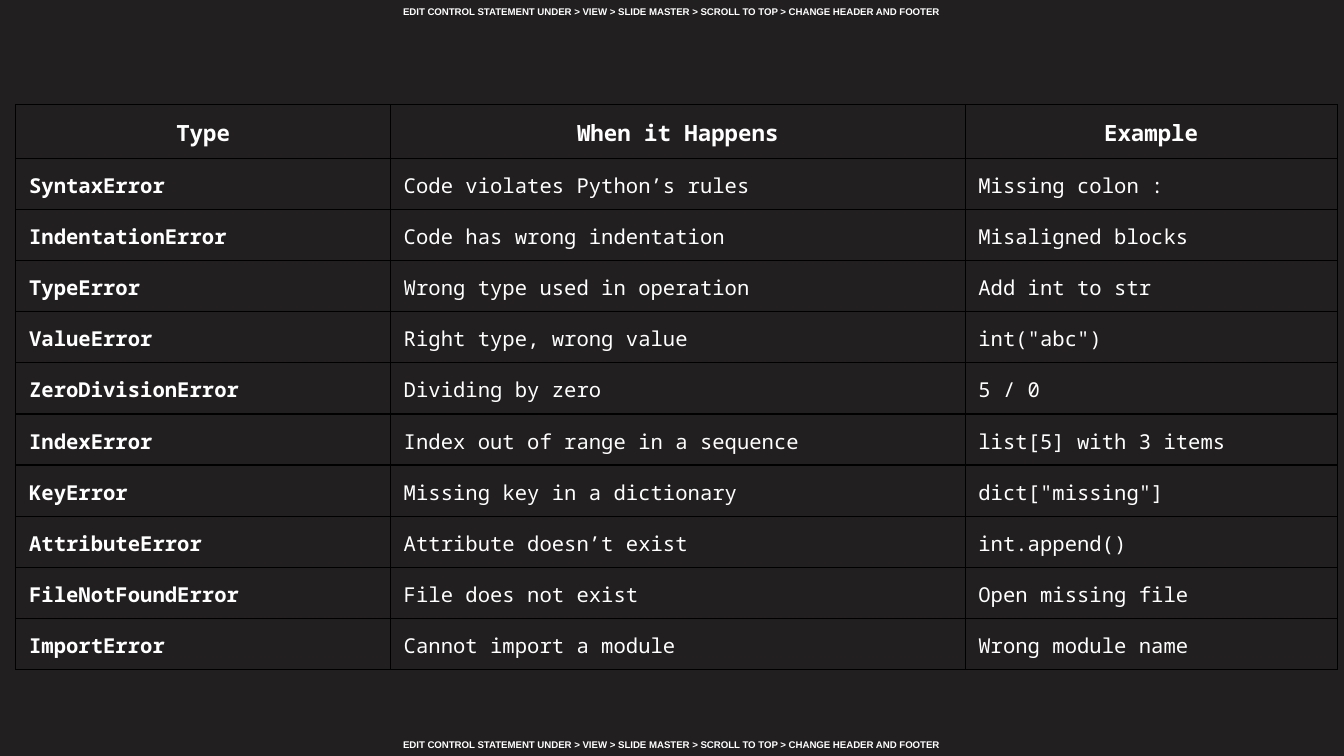
from lxml import etree
from pptx import Presentation
from pptx.dml.color import RGBColor
from pptx.enum.text import MSO_ANCHOR, PP_ALIGN
from pptx.oxml.ns import qn
from pptx.util import Cm, Pt

MID, LOW = MSO_ANCHOR.TOP, MSO_ANCHOR.BOTTOM
LEFT, CENTER = PP_ALIGN.LEFT, PP_ALIGN.CENTER
HUES = {"back": "221F20", "text": "FFFFFF", "line": "000000"}
NOTE = "EDIT CONTROL STATEMENT UNDER > VIEW > SLIDE MASTER > SCROLL TO TOP > CHANGE HEADER AND FOOTER"
ROWS = [
    ("Type", "When it Happens", "Example"),
    ("SyntaxError", "Code violates Python’s rules", "Missing colon :"),
    ("IndentationError", "Code has wrong indentation", "Misaligned blocks"),
    ("TypeError", "Wrong type used in operation", "Add int to str"),
    ("ValueError", "Right type, wrong value", 'int("abc")'),
    ("ZeroDivisionError", "Dividing by zero", "5 / 0"),
    ("IndexError", "Index out of range in a sequence", "list[5] with 3 items"),
    ("KeyError", "Missing key in a dictionary", 'dict["missing"]'),
    ("AttributeError", "Attribute doesn’t exist", "int.append()"),
    ("FileNotFoundError", "File does not exist", "Open missing file"),
    ("ImportError", "Cannot import a module", "Wrong module name"),
]


def write(frame, text, face, size, bold, align):
    para = frame.paragraphs[0]
    para.alignment = align
    run = para.add_run()
    run.text = text
    run.font.name = face
    run.font.size = Pt(size)
    run.font.bold = bold
    run.font.color.rgb = RGBColor.from_string(HUES["text"])


def frame_cell(cell):
    props = cell._tc.get_or_add_tcPr()
    for side in ("a:lnL", "a:lnR", "a:lnT", "a:lnB"):
        line = etree.SubElement(props, qn(side), w=str(Pt(0.75)))
        fill = etree.SubElement(line, qn("a:solidFill"))
        etree.SubElement(fill, qn("a:srgbClr"), val=HUES["line"])
    cell.fill.background()


deck = Presentation()
deck.slide_width, deck.slide_height = Cm(25.4), Cm(14.29)
slide = deck.slides.add_slide(deck.slide_layouts[6])
slide.background.fill.solid()
slide.background.fill.fore_color.rgb = RGBColor.from_string(HUES["back"])

for top, anchor in ((13.81, LOW), (0, MID)):
    box = slide.shapes.add_textbox(Cm(2.9), Cm(top), Cm(19.6), Cm(0.48))
    frame = box.text_frame
    frame.word_wrap = True
    frame.vertical_anchor = anchor
    frame.margin_top = frame.margin_bottom = Cm(0.13)
    write(frame, NOTE, "Arial", 5.2, True, CENTER)

wides = (7.08, 10.86, 7.03)
high = 0.91
table = slide.shapes.add_table(
    len(ROWS), len(wides), Cm(0.3), Cm(1.98), Cm(sum(wides)), Cm(high * len(ROWS))
).table
table.first_row = table.horz_banding = False
for col, wide in zip(table.columns, wides):
    col.width = Cm(wide)
for r, words in enumerate(ROWS):
    table.rows[r].height = Cm(high)
    head = r == 0
    for c, text in enumerate(words):
        cell = table.cell(r, c)
        cell.margin_left = cell.margin_right = Cm(0.25)
        cell.margin_top = cell.margin_bottom = Cm(0.25)
        frame_cell(cell)
        write(cell.text_frame, text, "Noto Sans Mono", 12 if head else 11,
              head or c == 0, CENTER if head else LEFT)

deck.save("out.pptx")
